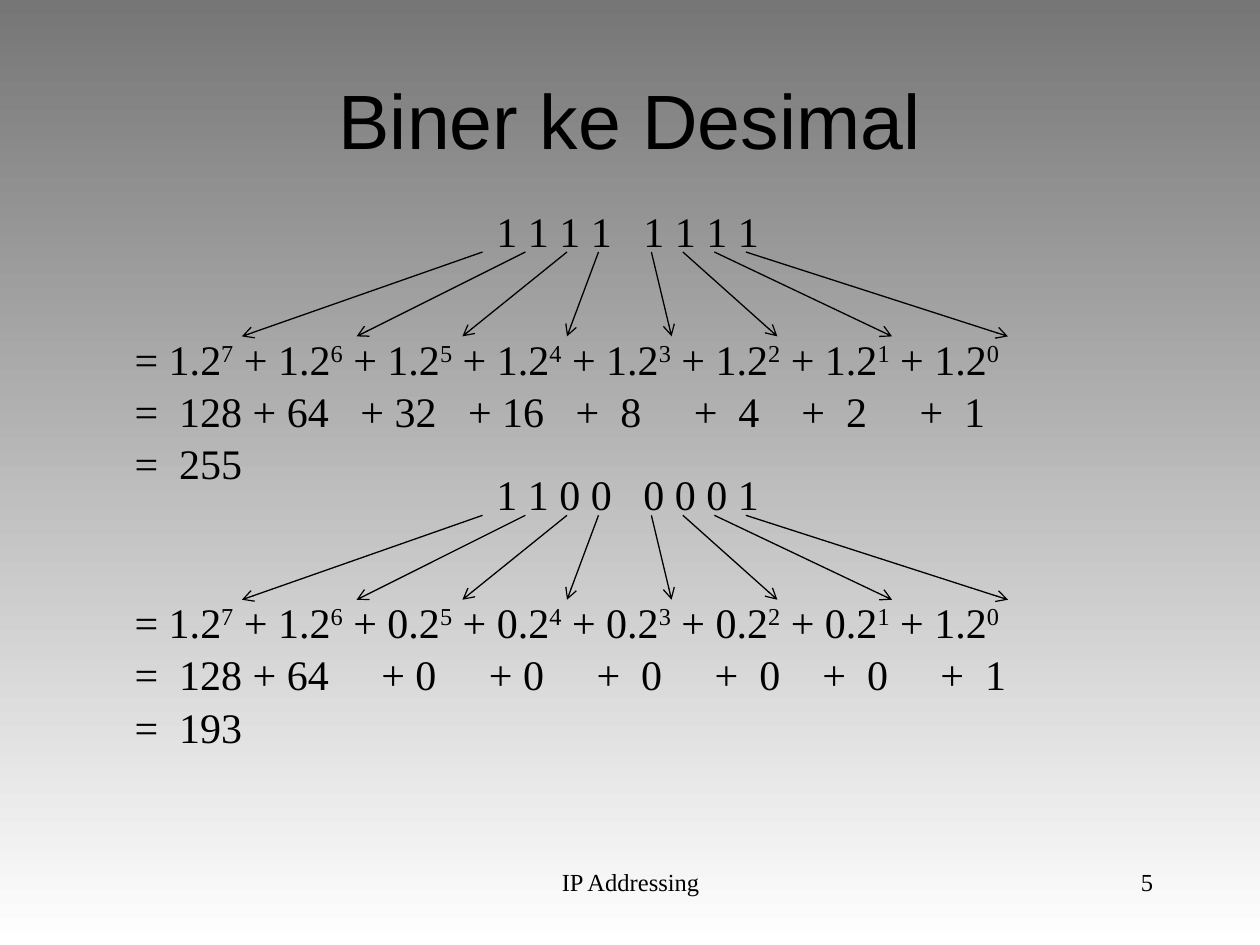
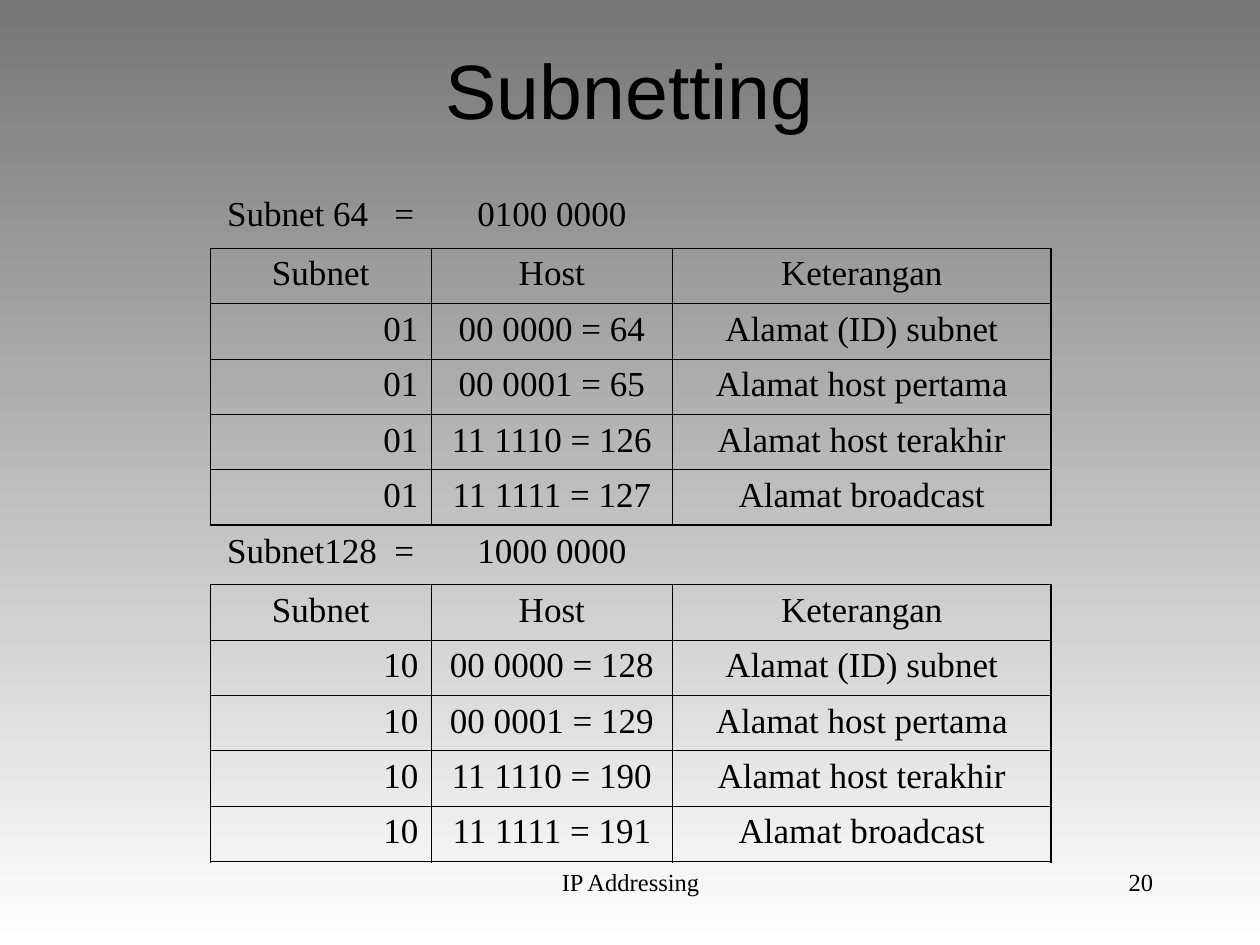
"""Build two IP addressing slides: binary to decimal, and subnetting tables."""
from lxml.etree import SubElement
from pptx import Presentation
from pptx.dml.color import RGBColor
from pptx.enum.shapes import MSO_CONNECTOR
from pptx.enum.text import MSO_ANCHOR, PP_ALIGN
from pptx.oxml.ns import qn
from pptx.util import Inches, Pt

COLORS = {"ink": "000000", "top": "767676", "bottom": "FFFFFF"}
SERIF, SANS = "Times New Roman", "Arial"
LEFT, CENTER, RIGHT = PP_ALIGN.LEFT, PP_ALIGN.CENTER, PP_ALIGN.RIGHT
FOOTER = "IP Addressing"

CONVERSIONS = [
    {"top": 1.58, "bits": "1111 1111", "results": [
        "=  128 + 64   + 32   + 16   +  8     +  4    +  2     +  1",
        "=  255"]},
    {"top": 3.67, "bits": "1100 0001", "results": [
        "=  128 + 64     + 0     + 0     +  0     +  0    +  0     +  1",
        "=  193"]},
]
ARROWS = [(3.83, 1.92), (4.17, 2.83), (4.5, 3.67), (4.75, 4.5),
          (5.17, 5.33), (5.42, 6.17), (5.67, 7.08), (5.92, 8)]

HEADER = ("Subnet", "Host", "Keterangan")
HOSTS = ["00 0000", "00 0001", "11 1110", "11 1111"]
NOTES = ["Alamat (ID) subnet", "Alamat host pertama",
         "Alamat host terakhir", "Alamat broadcast"]
SUBNETS = [
    {"top": 1.5, "label": "Subnet 64   =", "mask": "0100 0000",
     "id": "01", "values": [64, 65, 126, 127]},
    {"top": 4.17, "label": "Subnet128  =", "mask": "1000 0000",
     "id": "10", "values": [128, 129, 190, 191]},
]
COL_WIDTHS = [1.75, 1.92, 3]
LABEL_ROW, ROW = 0.47, 0.44
THIN, THICK = 0.45, 1.08


def rgb(name):
    return RGBColor.from_string(COLORS[name])


def write(tf, paras, size=24, font=SERIF, align=LEFT, hanging=0, spacing=None):
    """Fill a text frame; a paragraph is a string or (text, raised) runs."""
    for i, para in enumerate(paras):
        p = tf.paragraphs[0] if i == 0 else tf.add_paragraph()
        p.alignment = align
        if spacing:
            p.line_spacing = spacing
        if hanging:
            pPr = p._p.get_or_add_pPr()
            pPr.set("marL", str(Inches(hanging)))
            pPr.set("indent", str(-Inches(hanging)))
        for text, raised in [(para, False)] if isinstance(para, str) else para:
            r = p.add_run()
            r.text = text
            r.font.size, r.font.name = Pt(size), font
            r.font.color.rgb = rgb("ink")
            if raised:
                r.font._element.set("baseline", "30000")


def add_text(shapes, box, paras, wrap=True, **fmt):
    tf = shapes.add_textbox(*map(Inches, box)).text_frame
    tf.word_wrap = wrap
    write(tf, paras, **fmt)


def add_arrow(shapes, x1, y1, x2, y2):
    ends = map(Inches, (x1, y1, x2, y2))
    sp = shapes.add_connector(MSO_CONNECTOR.STRAIGHT, *ends)
    sp.line.color.rgb = rgb("ink")
    sp.line.width = Pt(0.75)
    SubElement(sp.line._get_or_add_ln(), qn("a:tailEnd"), type="arrow")
    SubElement(sp._element.spPr, qn("a:effectLst"))


def new_slide(prs, title, top, number):
    s = prs.slides.add_slide(prs.slide_layouts[5])
    sp = s.shapes.title
    sp.left, sp.top, sp.width, sp.height = map(Inches, (0.75, top, 8.5, 1.25))
    sp.text_frame.vertical_anchor = MSO_ANCHOR.MIDDLE
    write(sp.text_frame, [title], size=44, font=SANS, align=CENTER)
    add_text(s.shapes, (3.42, 6.83, 3.17, 0.5), [FOOTER], size=14, align=CENTER)
    add_text(s.shapes, (7.17, 6.83, 2.08, 0.5), [str(number)], size=14, align=RIGHT)
    return s


def add_conversion(s, top, bits, results):
    shapes = s.shapes.add_group_shape().shapes
    spaced = "   ".join(" ".join(half) for half in bits.split())
    add_text(shapes, (3.84, top, 2.28, 0.5), [spaced], wrap=False)
    powers = []
    for i, bit in enumerate(bits.replace(" ", "")):
        powers += [(f"{' +' if i else '='} {bit}.2", False), (str(7 - i), True)]
    add_text(shapes, (0.97, top + 1, 8.14, 1.3), [powers, *results],
             hanging=0.5, spacing=1.04)
    for x1, x2 in ARROWS:
        add_arrow(shapes, x1, top + 0.42, x2, top + 1.09)


def set_borders(cell, **widths):
    tcPr = cell._tc.get_or_add_tcPr()
    for side in "LRTB":
        width = widths[side]
        ln = SubElement(tcPr, qn(f"a:ln{side}"), w=str(Pt(width)))
        if width:
            fill = SubElement(ln, qn("a:solidFill"))
            SubElement(fill, qn("a:srgbClr"), val=COLORS["ink"])
        else:
            SubElement(ln, qn("a:noFill"))


def add_subnet(s, top, label, mask, id, values):
    rows = [(label, mask, ""), HEADER]
    rows += [(id, f"{host} = {value}", note)
             for host, value, note in zip(HOSTS, values, NOTES)]
    heights = [LABEL_ROW] + [ROW] * (len(rows) - 1)
    box = map(Inches, (1.67, top, sum(COL_WIDTHS), sum(heights)))
    table = s.shapes.add_table(len(rows), len(COL_WIDTHS), *box).table
    table.first_row = table.horz_banding = False
    for col, width in zip(table.columns, COL_WIDTHS):
        col.width = Inches(width)
    last_row, last_col = len(rows) - 1, len(COL_WIDTHS) - 1
    for i, row in enumerate(rows):
        table.rows[i].height = Inches(heights[i])
        for j, text in enumerate(row):
            cell = table.cell(i, j)
            set_borders(cell,
                        L=0 if i == 0 else THICK if j == 0 else THIN,
                        R=0 if i == 0 else THICK if j == last_col else THIN,
                        T=0 if i == 0 else THIN,
                        B=THICK if i == last_row else THIN)
            cell.fill.background()
            if text:
                align = RIGHT if j == 0 and i > 1 else CENTER
                write(cell.text_frame, [text], size=20, align=align)


def main():
    prs = Presentation()
    prs.slide_width, prs.slide_height = Inches(10), Inches(7.5)
    fill = prs.slide_master.background.fill
    fill.gradient()
    fill.gradient_angle = 270
    for stop, name, pos in zip(fill.gradient_stops, ("top", "bottom"), (0, 1)):
        stop.color.rgb = rgb(name)
        stop.position = pos

    s = new_slide(prs, "Biner ke Desimal", 0.32, 5)
    for conversion in CONVERSIONS:
        add_conversion(s, **conversion)

    s = new_slide(prs, "Subnetting", 0.08, 20)
    for subnet in SUBNETS:
        add_subnet(s, **subnet)
    prs.save("out.pptx")


if __name__ == "__main__":
    main()
